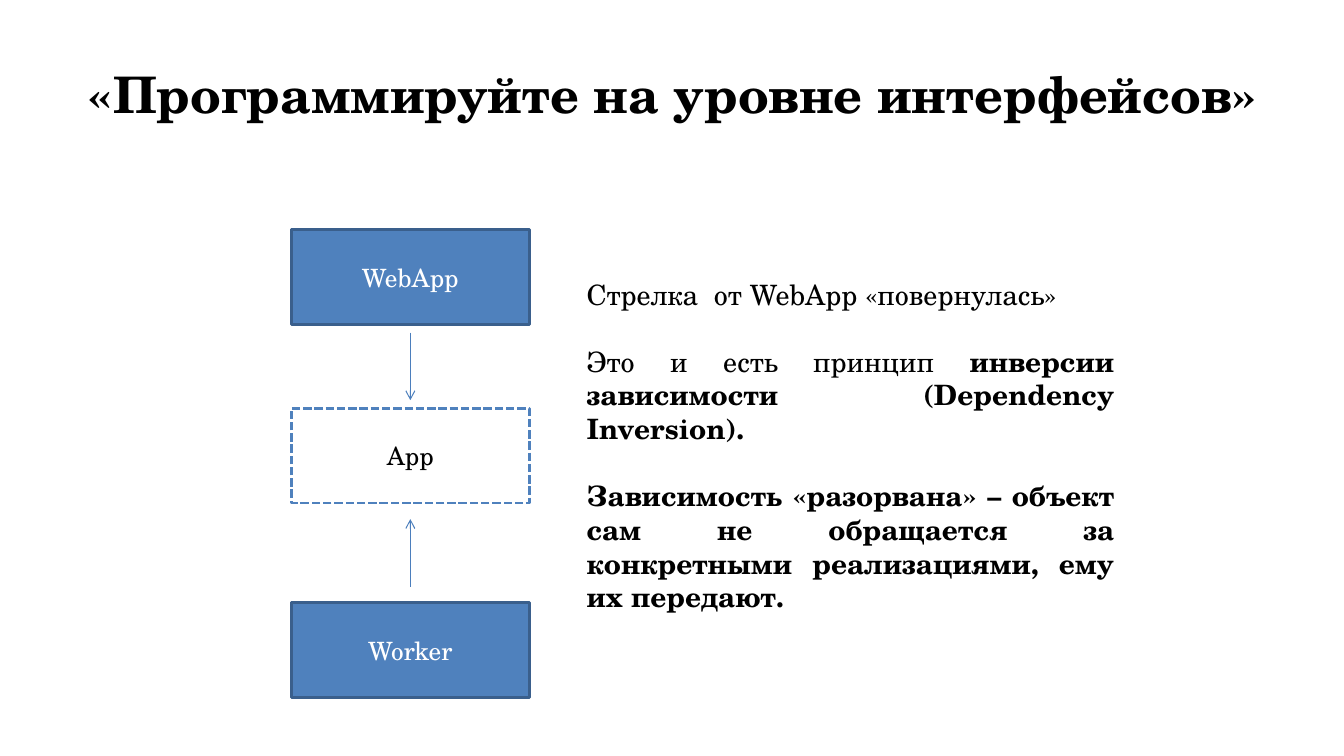
import pptx
import pptx.dml.color
import pptx.enum.dml
import pptx.enum.shapes
import pptx.enum.text
import pptx.oxml
import pptx.oxml.ns
import pptx.util
from pptx.util import Inches

FONT = "TeX Gyre Schola"
COLORS = {
    "text": "000000",
    "light": "FFFFFF",
    "box": "4F81BD",
    "box_edge": "3A5F8C",
    "arrow": "4B7EBC",
}
CLASS_HEIGHT = 0.94
CLASSES = [
    ("WebApp", 0, False),
    ("App", 1.77, True),
    ("Worker", 3.7, False),
]
ARROWS = [(1.02, 1.69), (3.54, 2.87)]
EXPLANATION = [
    [("Стрелка  от WebApp «повернулась»", False)],
    [
        ("Это и есть принцип ", False),
        ("инверсии зависимости (Dependency Inversion).", True),
    ],
    [
        (
            "Зависимость «разорвана» – объект сам не обращается за "
            "конкретными реализациями, ему их передают.",
            True,
        )
    ],
]


def rgb(name):
    """Return the named colour of the palette."""
    return pptx.dml.color.RGBColor.from_string(COLORS[name])


def style_font(font, size, color, bold=False):
    """Apply the slide's typeface with the given size, colour and weight."""
    font.name = FONT
    font.size = pptx.util.Pt(size)
    font.bold = bold
    font.color.rgb = rgb(color)


def add_heading(slide, left, top, width, height):
    """Place and format the slide title."""
    heading = slide.shapes.title
    heading.left, heading.top = Inches(left), Inches(top)
    heading.width, heading.height = Inches(width), Inches(height)
    frame = heading.text_frame
    frame.text = "«Программируйте на уровне интерфейсов»"
    frame.word_wrap = True
    frame.auto_size = pptx.enum.text.MSO_AUTO_SIZE.NONE
    frame.vertical_anchor = pptx.enum.text.MSO_ANCHOR.MIDDLE
    paragraph = frame.paragraphs[0]
    paragraph.alignment = pptx.enum.text.PP_ALIGN.CENTER
    style_font(paragraph.runs[0].font, 36, "text", True)


def add_class_box(slide, label, is_interface, left, top, width, height):
    """Draw one class, dashed and unfilled when it is an interface."""
    class_box = slide.shapes.add_shape(
        pptx.enum.shapes.MSO_SHAPE.RECTANGLE,
        Inches(left), Inches(top), Inches(width), Inches(height),
    )
    class_box.shadow.inherit = False
    class_box.fill.solid()
    class_box.fill.fore_color.rgb = rgb("light" if is_interface else "box")
    class_box.line.color.rgb = rgb("box" if is_interface else "box_edge")
    class_box.line.width = pptx.util.Pt(2)
    if is_interface:
        class_box.line.dash_style = pptx.enum.dml.MSO_LINE.SQUARE_DOT
    frame = class_box.text_frame
    frame.text = label
    frame.vertical_anchor = pptx.enum.text.MSO_ANCHOR.MIDDLE
    paragraph = frame.paragraphs[0]
    paragraph.alignment = pptx.enum.text.PP_ALIGN.CENTER
    style_font(paragraph.runs[0].font, 18, "text" if is_interface else "light")


def add_arrow(slide, x, start, end):
    """Draw a vertical dependency arrow from start to end."""
    arrow = slide.shapes.add_connector(
        pptx.enum.shapes.MSO_CONNECTOR.STRAIGHT,
        Inches(x), Inches(start), Inches(x), Inches(end),
    )
    arrow.line.color.rgb = rgb("arrow")
    arrow.line.width = pptx.util.Pt(0.75)
    head = pptx.oxml.parse_xml(
        f'<a:tailEnd {pptx.oxml.ns.nsdecls("a")} type="arrow"/>'
    )
    arrow.line._get_or_add_ln().append(head)
    no_effects = pptx.oxml.parse_xml(
        f'<a:effectLst {pptx.oxml.ns.nsdecls("a")}/>'
    )
    arrow._element.spPr.append(no_effects)


def add_dependency_diagram(slide, left, top, width):
    """Stack the class boxes and point both dependencies at the interface."""
    for label, offset, is_interface in CLASSES:
        add_class_box(
            slide, label, is_interface, left, top + offset, width, CLASS_HEIGHT
        )
    for start, end in ARROWS:
        add_arrow(slide, left + width / 2, top + start, top + end)


def add_explanation(slide, left, top, width, height):
    """Write the justified explanation beside the diagram."""
    explanation = slide.shapes.add_textbox(
        Inches(left), Inches(top), Inches(width), Inches(height)
    )
    frame = explanation.text_frame
    frame.word_wrap = True
    frame.auto_size = pptx.enum.text.MSO_AUTO_SIZE.SHAPE_TO_FIT_TEXT
    for index, statement in enumerate(EXPLANATION):
        paragraph = frame.add_paragraph() if index else frame.paragraphs[0]
        paragraph.alignment = pptx.enum.text.PP_ALIGN.JUSTIFY
        if index:
            paragraph.space_before = pptx.util.Pt(24)
        for words, bold in statement:
            run = paragraph.add_run()
            run.text = words
            style_font(run.font, 20, "text", bold)


def main():
    """Build the dependency inversion slide and save it."""
    deck = pptx.Presentation()
    deck.slide_width, deck.slide_height = Inches(13.33), Inches(7.5)
    slide = deck.slides.add_slide(deck.slide_layouts.get_by_name("Title Only"))
    slide.background.fill.solid()
    slide.background.fill.fore_color.rgb = rgb("light")
    add_heading(slide, 0.67, 0.3, 12, 1.25)
    add_dependency_diagram(slide, 2.89, 2.28, 2.36)
    add_explanation(slide, 5.72, 2.7, 5.43, 3.47)
    deck.save("out.pptx")


if __name__ == "__main__":
    main()
